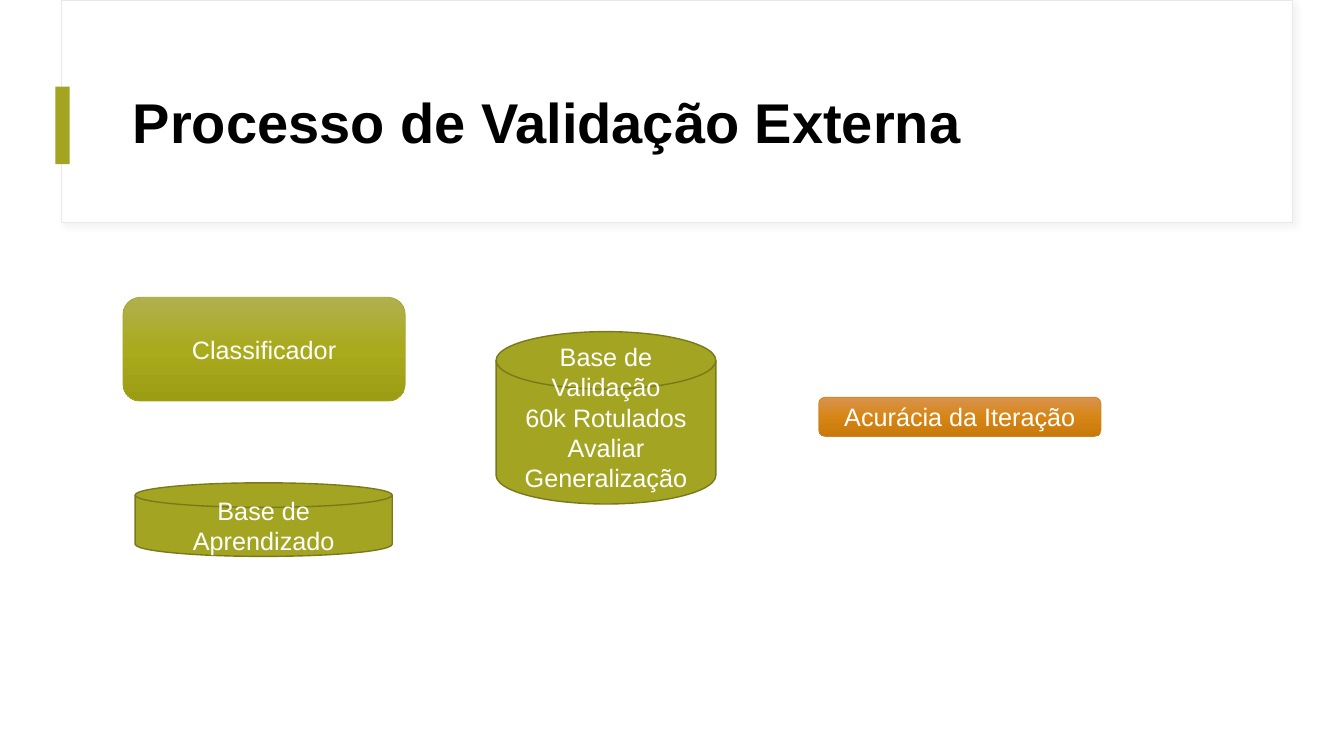
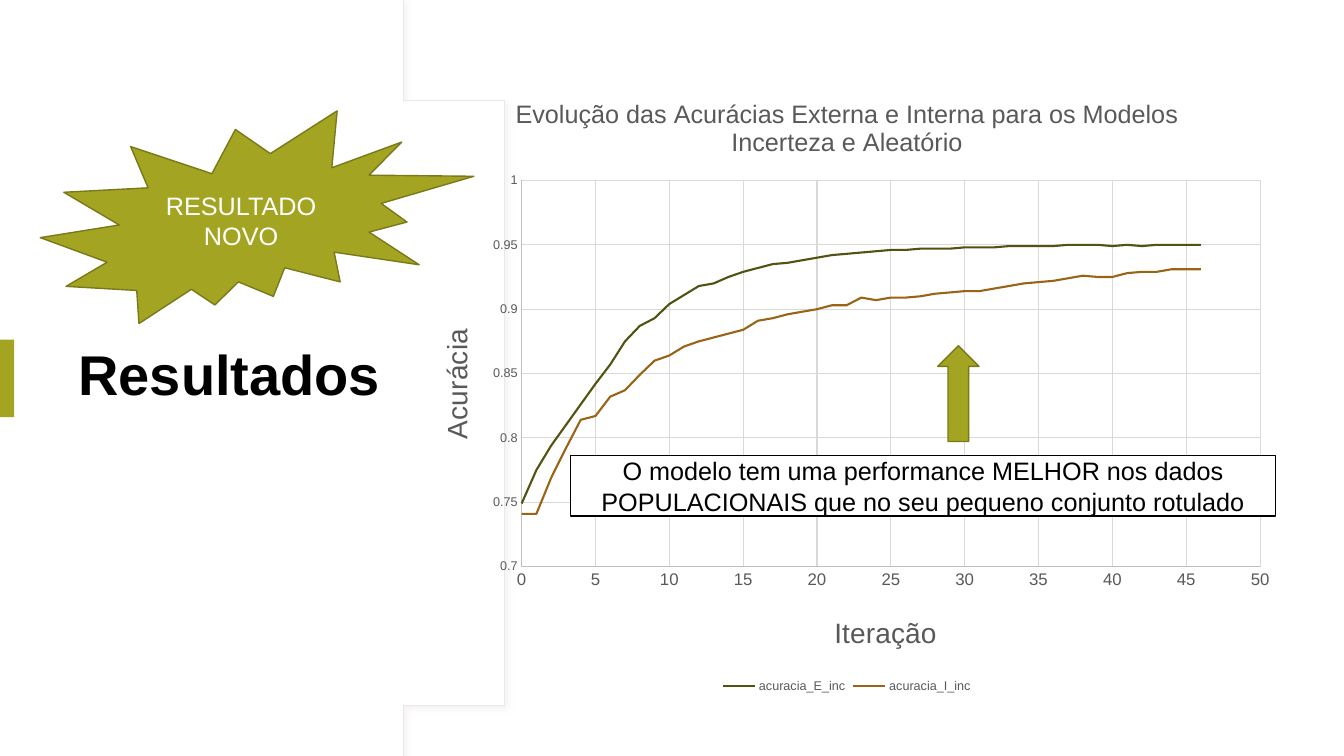
from lxml import etree
from pptx import Presentation
from pptx.chart.data import XyChartData
from pptx.dml.color import RGBColor
from pptx.enum import chart as ch, shapes, text
from pptx.oxml import parse_xml
from pptx.oxml.ns import nsdecls, qn
from pptx.util import Inches, Pt

HUES = {
    "white": "FFFFFF", "black": "000000", "olive": "A4A423", "edge": "79791A",
    "frame": "F0E4ED", "amber": "CE851E", "gray": "595959", "axis": "BFBFBF",
    "grid": "D9D9D9", "moss": "525211", "brown": "9A6417",
}
RGB = {name: RGBColor.from_string(code) for name, code in HUES.items()}
FADES = {
    "olive": ["B0B050", "AAAA1D", "9D9D14"],
    "amber": ["D8934E", "D78615", "C7790B"],
}
FONT = "Arial"
SHAPE = shapes.MSO_SHAPE


def style(shape, fill="olive", line=None, width=1, words=(), ink="white",
          size=18, bold=False, align=text.PP_ALIGN.CENTER):
    """Set fill, outline and text; fill=None leaves the shape unfilled."""
    if fill:
        shape.shadow.inherit = False
        shape.fill.solid()
        shape.fill.fore_color.rgb = RGB[fill]
        if line:
            shape.line.color.rgb = RGB[line]
            shape.line.width = Pt(width)
        else:
            shape.line.fill.background()
    frame = shape.text_frame
    frame.word_wrap = True
    frame.vertical_anchor = text.MSO_ANCHOR.MIDDLE
    if words:
        frame.text = "\n".join(words)
    for par in frame.paragraphs:
        par.alignment = align
        par.font.size = Pt(size)
        par.font.name = FONT
        par.font.bold = bold
        par.font.color.rgb = RGB[ink]
    return shape


def head(slide, panel, words, box, mark):
    """Add the shadowed panel, the accent mark and the slide title."""
    style(panel, "white", "frame", 0.75)
    glow = panel._element.spPr.find(qn("a:effectLst"))
    glow.append(parse_xml(
        f'<a:outerShdw {nsdecls("a")} blurRad="50800" dist="38100" dir="2700000">'
        f'<a:srgbClr val="{HUES["grid"]}"><a:alpha val="30000"/></a:srgbClr>'
        '</a:outerShdw>'))
    style(slide.shapes.add_shape(SHAPE.RECTANGLE, *map(Inches, mark)))
    title = style(slide.shapes.add_textbox(*map(Inches, box)), None,
                  words=[words], ink="black", size=40, bold=True,
                  align=text.PP_ALIGN.LEFT)
    title.text_frame.paragraphs[0].line_spacing = 0.9


prs = Presentation()
prs.slide_width, prs.slide_height = Inches(13.33), Inches(7.5)
blank = prs.slide_layouts[6]

# Slide 1: validation process
slide = prs.slides.add_slide(blank)
panel = slide.shapes.add_shape(
    SHAPE.RECTANGLE, Inches(0.61), 0, Inches(12.21), Inches(2.21))
head(slide, panel, "Processo de Validação Externa",
     (1.22, 0.6, 11.12, 1.29), (0.55, 0.86, 0.14, 0.77))

disks = [
    ((1.34, 4.79, 2.55, 0.73), ["Base de Aprendizado"], 0.05),
    ((4.92, 3.29, 2.18, 1.71),
     ["Base de Validação", "60k Rotulados", "Avaliar Generalização"], 0.35),
]
for box, words, pad in disks:
    disk = slide.shapes.add_shape(SHAPE.FLOWCHART_MAGNETIC_DISK, *map(Inches, box))
    style(disk, line="edge", words=words)
    disk.text_frame.margin_bottom = Inches(pad)

steps = [
    ((1.22, 2.95, 2.8, 1.03), "Classificador", "olive"),
    ((8.12, 3.94, 2.8, 0.39), "Acurácia da Iteração", "amber"),
]
for box, words, hue in steps:
    step = slide.shapes.add_shape(SHAPE.ROUNDED_RECTANGLE, *map(Inches, box))
    style(step, hue, hue, 0.5, [words])
    step.fill.gradient()
    step.fill.gradient_angle = 270
    stops = step._element.spPr.find(".//" + qn("a:gsLst"))
    for stop in list(stops):
        stops.remove(stop)
    for i, code in enumerate(FADES[hue]):
        stop = etree.SubElement(stops, qn("a:gs"), pos=str(i * 50000))
        etree.SubElement(stop, qn("a:srgbClr"), val=code)

# Slide 2: results
slide = prs.slides.add_slide(blank)
ends = [(4.01, 0.08), (4.79, 1.02), (5.27, 2.32), (5.27, 3.75)]
arc = []
for i in range(25):
    t = i / 24
    parts = [(1 - t) ** 3, 3 * t * (1 - t) ** 2, 3 * t ** 2 * (1 - t), t ** 3]
    arc.append(tuple(sum(p * end[k] for p, end in zip(parts, ends)) for k in (0, 1)))
upper = [(3.94, 0)] + arc
lower = [(x, 7.5 - y) for x, y in reversed(upper)]
path = slide.shapes.build_freeform(0, 0, scale=Inches(1))
path.add_line_segments(upper + lower[1:] + [(0, 7.5)], close=True)
head(slide, path.convert_to_shape(), "Resultados",
     (0.68, 1.27, 3.94, 4.95), (0, 3.37, 0.14, 0.77))

series = {
    "acuracia_E_inc": ("moss", [
        0.749, 0.775, 0.794, 0.81, 0.826, 0.842, 0.857, 0.875, 0.887, 0.893,
        0.904, 0.911, 0.918, 0.92, 0.925, 0.929, 0.932, 0.935, 0.936, 0.938,
        0.94, 0.942, 0.943, 0.944, 0.945, 0.946, 0.946, 0.947, 0.947, 0.947,
        0.948, 0.948, 0.948, 0.949, 0.949, 0.949, 0.949, 0.95, 0.95, 0.95,
        0.949, 0.95, 0.949, 0.95, 0.95, 0.95, 0.95]),
    "acuracia_I_inc": ("brown", [
        0.741, 0.741, 0.769, 0.792, 0.814, 0.817, 0.832, 0.837, 0.849, 0.86,
        0.864, 0.871, 0.875, 0.878, 0.881, 0.884, 0.891, 0.893, 0.896, 0.898,
        0.9, 0.903, 0.903, 0.909, 0.907, 0.909, 0.909, 0.91, 0.912, 0.913,
        0.914, 0.914, 0.916, 0.918, 0.92, 0.921, 0.922, 0.924, 0.926, 0.925,
        0.925, 0.928, 0.929, 0.929, 0.931, 0.931, 0.931]),
}
data = XyChartData()
for name, (hue, vals) in series.items():
    row = data.add_series(name)
    for x, y in enumerate(vals):
        row.add_data_point(x, y)
chart = slide.shapes.add_chart(
    ch.XL_CHART_TYPE.XY_SCATTER_LINES_NO_MARKERS,
    *map(Inches, (4.04, 0.74, 8.72, 6.18)), data).chart
chart.font.name, chart.font.size = FONT, Pt(10)
plot = chart.plots[0]
plot.vary_by_categories = False
for row, (hue, vals) in zip(plot.series, series.values()):
    row.smooth = False
    row.marker.style = ch.XL_MARKER_STYLE.NONE
    row.format.line.color.rgb = RGB[hue]
    row.format.line.width = Pt(1.5)

across, up = chart.category_axis, chart.value_axis
across.minimum_scale, across.maximum_scale, across.major_unit = 0, 50, 5
up.minimum_scale, up.maximum_scale, up.major_unit = 0.7, 1, 0.05
for axis, size in ((across, 12), (up, 9)):
    axis.major_tick_mark = axis.minor_tick_mark = ch.XL_TICK_MARK.NONE
    axis.has_major_gridlines = True
    axis.tick_labels.number_format = "General"
    axis.tick_labels.number_format_is_linked = False
    axis.tick_labels.font.size = Pt(size)
    axis.tick_labels.font.name = FONT
    axis.tick_labels.font.color.rgb = RGB["gray"]
    for rule, hue in ((axis.format, "axis"), (axis.major_gridlines.format, "grid")):
        rule.line.color.rgb = RGB[hue]
        rule.line.width = Pt(0.75)

chart.has_title = True
names = [
    (chart.chart_title, 18,
     "Evolução das Acurácias Externa e Interna para os Modelos Incerteza e Aleatório"),
    (across.axis_title, 20, "Iteração"),
    (up.axis_title, 20, "Acurácia"),
]
for title, size, words in names:
    par = title.text_frame.paragraphs[0]
    par.text = words
    par.font.size, par.font.name, par.font.bold = Pt(size), FONT, False
    par.font.color.rgb = RGB["gray"]

chart.has_legend = True
legend = chart.legend
legend.position = ch.XL_LEGEND_POSITION.BOTTOM
legend.include_in_layout = False
legend.font.size, legend.font.name = Pt(9), FONT
legend.font.color.rgb = RGB["gray"]

area = chart._chartSpace.find(".//" + qn("c:plotArea"))
places = [
    (area, 0, {"x": 0.13, "y": 0.17, "w": 0.84, "h": 0.62}),
    (across.axis_title._element, 1, {"x": 0.48, "y": 0.86}),
    (up.axis_title._element, 1, {"x": 0.03, "y": 0.4}),
]
for item, spot, sizes in places:
    old = item.find(qn("c:layout"))
    if old is not None:
        item.remove(old)
    layout = etree.Element(qn("c:layout"))
    manual = etree.SubElement(layout, qn("c:manualLayout"))
    if item is area:
        etree.SubElement(manual, qn("c:layoutTarget"), val="inner")
    for key in "xy":
        etree.SubElement(manual, qn(f"c:{key}Mode"), val="edge")
    for key, size in sizes.items():
        etree.SubElement(manual, qn(f"c:{key}"), val=str(size))
    item.insert(spot, layout)

notes = [
    (SHAPE.UP_ARROW, (9.3, 3.43, 0.41, 0.95), "olive", "edge", [], "white"),
    (SHAPE.RECTANGLE, (5.66, 4.52, 6.99, 0.6), "white", "black",
     ["O modelo tem uma performance MELHOR nos dados POPULACIONAIS "
      "que no seu pequeno conjunto rotulado"], "black"),
    (SHAPE.EXPLOSION2, (0.4, 1.1, 4.3, 2.11), "olive", "edge",
     ["RESULTADO NOVO"], "white"),
]
for kind, box, fill, line, words, ink in notes:
    style(slide.shapes.add_shape(kind, *map(Inches, box)),
          fill, line, words=words, ink=ink)

prs.save("out.pptx")
